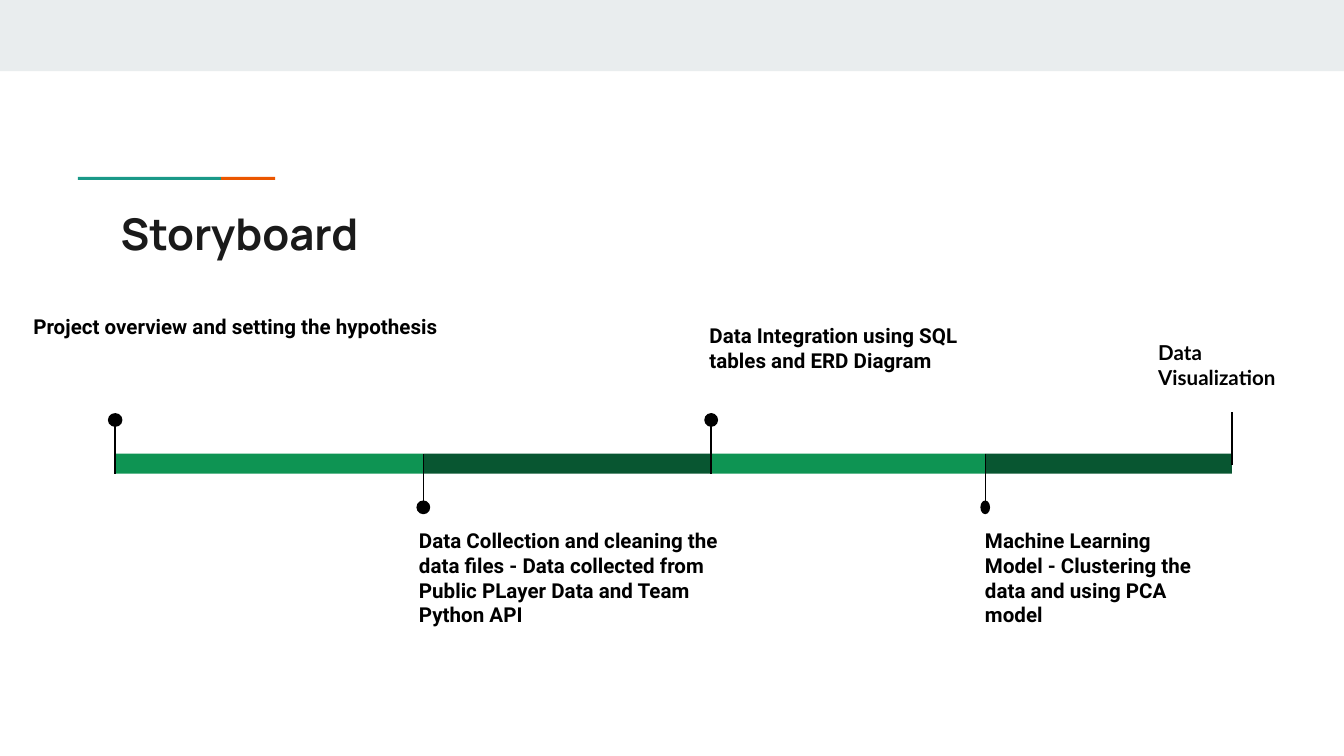
from pptx import Presentation
from pptx.dml.color import RGBColor
from pptx.enum.shapes import MSO_CONNECTOR, MSO_SHAPE
from pptx.enum.text import MSO_ANCHOR, PP_ALIGN
from pptx.oxml import parse_xml
from pptx.oxml.ns import nsdecls
from pptx.util import Pt

BAND_GRAY = RGBColor(0xE9, 0xED, 0xEE)
ORANGE = RGBColor(0xEB, 0x56, 0x00)
TEAL = RGBColor(0x1A, 0x99, 0x88)
LIGHT_GREEN = RGBColor(0x0E, 0x94, 0x53)
DARK_GREEN = RGBColor(0x08, 0x56, 0x31)
TITLE_COLOR = RGBColor(0x1A, 0x1A, 0x1A)
BLACK = RGBColor(0, 0, 0)

INSET = 7.2
BAR_TOP, BAR_HEIGHT = 243, 10.8
STEM_REACH = 18  # from the edge of the bar to the centre of the dot
DOT_HEIGHT = 7.4

# Milestones: x position, bar colour, stem above the bar, dot width
MILESTONES = [
    (61.7, LIGHT_GREEN, True, 7.8),
    (226.8, DARK_GREEN, False, 7.4),
    (381, LIGHT_GREEN, True, 7.4),
    (527.8, DARK_GREEN, False, 5.2),
]
TIMELINE_END = 660

# Labels: text, left, top, width, height, top inset
LABELS = [
    ("Project overview and setting the hypothesis",
     10.8, 146.2, 655.2, 177.8, 38.3),
    ("Data Integration using SQL tables and ERD Diagram",
     373, 146.9, 177.1, 74.2, 33),
    ("Machine Learning Model - Clustering the data and using PCA model",
     520.6, 275.8, 126.7, 74.2, INSET),
    ("Data Collection and cleaning the data files - Data collected from "
     "Public PLayer Data and Team Python API",
     217.4, 275.8, 177.1, 74.2, INSET),
]


def add_solid(slide, kind, left, top, width, height, color):
    shape = slide.shapes.add_shape(
        kind, Pt(left), Pt(top), Pt(width), Pt(height))
    shape.shadow.inherit = False
    shape.fill.solid()
    shape.fill.fore_color.rgb = color
    shape.line.fill.background()


def add_stem(slide, x, start, end):
    connector = slide.shapes.add_connector(
        MSO_CONNECTOR.STRAIGHT, Pt(x), Pt(start), Pt(x), Pt(end))
    connector.line.color.rgb = BLACK
    connector.line.width = Pt(0.75)
    connector._element.spPr.append(
        parse_xml(f"<a:effectLst {nsdecls('a')}/>"))


def add_text(slide, text, left, top, width, height, top_inset=INSET, *,
             size=11, font="Roboto", color=BLACK):
    box = slide.shapes.add_textbox(Pt(left), Pt(top), Pt(width), Pt(height))
    frame = box.text_frame
    frame.word_wrap = True
    frame.vertical_anchor = MSO_ANCHOR.TOP
    frame.margin_left = frame.margin_right = frame.margin_bottom = Pt(INSET)
    frame.margin_top = Pt(top_inset)
    paragraph = frame.paragraphs[0]
    paragraph.alignment = PP_ALIGN.LEFT
    run = paragraph.add_run()
    run.text = text
    run.font.size = Pt(size)
    run.font.name = font
    run.font.bold = True
    run.font.color.rgb = color


def add_timeline(slide):
    ends = [milestone[0] for milestone in MILESTONES[1:]] + [TIMELINE_END]
    bar_bottom = BAR_TOP + BAR_HEIGHT
    # Bars first, so that stems stay in front
    for (x, color, _, _), end in zip(MILESTONES, ends):
        add_solid(slide, MSO_SHAPE.RECTANGLE, x, BAR_TOP, end - x,
                  BAR_HEIGHT, color)
    for x, _, above, dot_width in MILESTONES:
        if above:
            dot_center = BAR_TOP - STEM_REACH
            add_stem(slide, x, dot_center, bar_bottom)
        else:
            dot_center = bar_bottom + STEM_REACH
            add_stem(slide, x, dot_center, BAR_TOP)
        add_solid(slide, MSO_SHAPE.OVAL, x - dot_width / 2,
                  dot_center - DOT_HEIGHT / 2, dot_width, DOT_HEIGHT, BLACK)
    add_stem(slide, TIMELINE_END, 249, 221)


def main():
    presentation = Presentation()
    presentation.slide_width = Pt(720)
    presentation.slide_height = Pt(405)
    slide = presentation.slides.add_slide(presentation.slide_layouts[6])

    # Header band and accent line
    add_solid(slide, MSO_SHAPE.RECTANGLE, 0, 0, 720, 38.2, BAND_GRAY)
    add_solid(slide, MSO_SHAPE.RECTANGLE, 118.4, 94.8, 29, 1.6, ORANGE)
    add_solid(slide, MSO_SHAPE.RECTANGLE, 41.8, 94.8, 76.6, 1.6, TEAL)

    # Title
    add_text(slide, "Storyboard", 57.6, 103.7, 605.5, 42.5,
             size=23.4, font="Manrope", color=TITLE_COLOR)

    # Timeline and its labels
    add_timeline(slide)
    for label in LABELS:
        add_text(slide, *label)
    add_text(slide, "Data Visualization", 613.4, 175, 88.6, 41, font="Lato")

    presentation.save("out.pptx")


if __name__ == "__main__":
    main()
